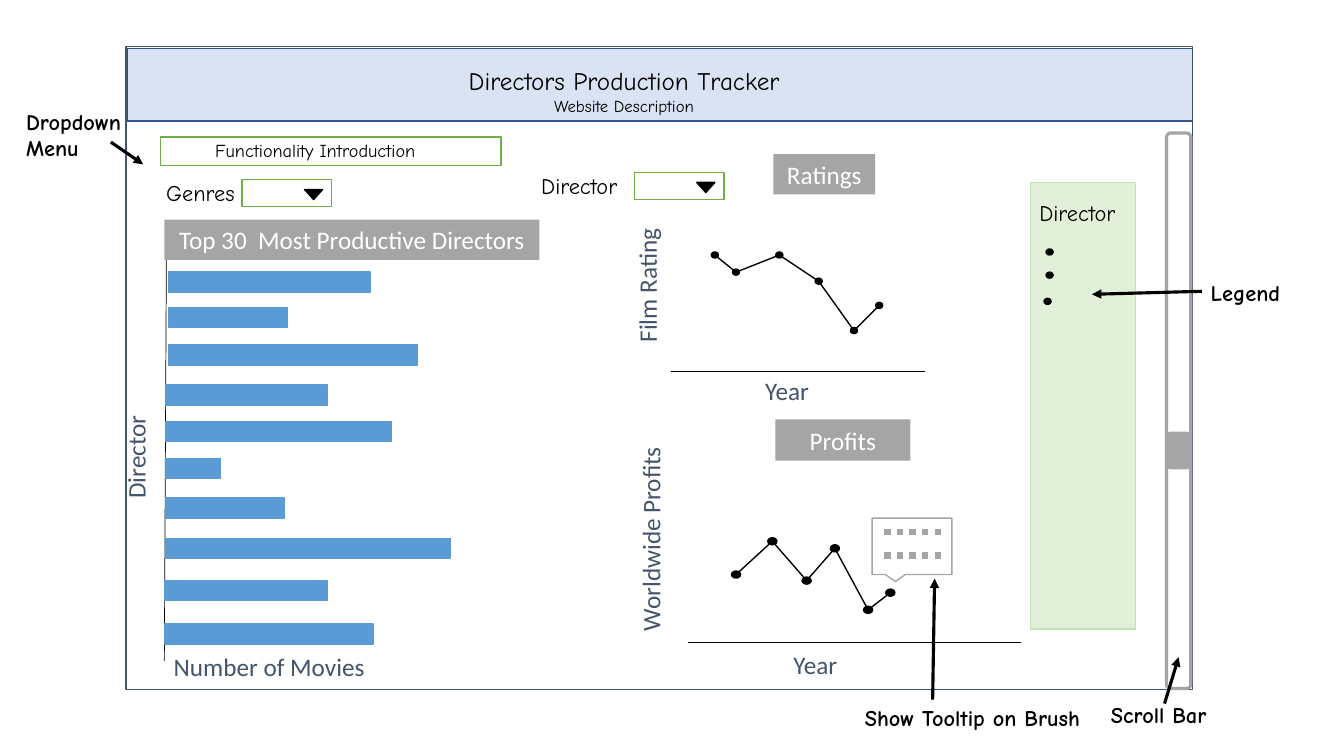
import pptx
import pptx.util
import pptx.dml.color
import pptx.enum.dml
import pptx.enum.shapes
import pptx.enum.text
import pptx.oxml.ns
import lxml.etree

Inches = pptx.util.Inches
SHAPE = pptx.enum.shapes.MSO_SHAPE
ALIGN = pptx.enum.text.PP_ALIGN
ANCHOR = pptx.enum.text.MSO_ANCHOR
qn = pptx.oxml.ns.qn
RGB = pptx.dml.color.RGBColor.from_string

THEME = {
    "black": "000000", "white": "FFFFFF", "grey": "A5A5A5", "slate": "44546A",
    "bar": "5B9BD5", "green": "70AD47", "header": "DAE3F3", "header_line": "325491",
    "legend": "E2F0D9", "legend_line": "C5E0B4",
    "banner": {"name": "Calibri", "size": 18, "color": "FFFFFF"},
    "axis": {"name": "Calibri", "size": 18, "color": "44546A"},
    "note": {"name": "Comic Neue", "size": 16, "color": "000000", "bold": True},
    "label": {"name": "Comic Neue", "size": 16, "color": "000000", "bold": False},
    "intro": {"name": "Comic Neue", "size": 13, "color": "000000"},
    "title": {"name": "Comic Neue", "size": 18, "color": "000000", "bold": False},
    "subtitle": {"name": "Comic Neue", "size": 12, "color": "000000", "bold": False},
}

prs = pptx.Presentation()
prs.slide_width, prs.slide_height = Inches(13.33), Inches(7.5)
slide = prs.slides.add_slide(prs.slide_layouts[5])
shapes = slide.shapes


def write(sp, lines, align=ALIGN.LEFT, anchor=ANCHOR.TOP, rotation=0):
    sp.rotation = rotation
    tf = sp.text_frame
    frame = {"word_wrap": True, "vertical_anchor": anchor,
             "auto_size": pptx.enum.text.MSO_AUTO_SIZE.NONE,
             "margin_left": Inches(0.1), "margin_right": Inches(0.1),
             "margin_top": Inches(0.05), "margin_bottom": Inches(0.05)}
    for key, value in frame.items():
        setattr(tf, key, value)
    for i, (text, style) in enumerate(lines):
        p = tf.paragraphs[0] if i == 0 else tf.add_paragraph()
        for key, value in {"alignment": align, "line_spacing": 1.0, "space_before": 0}.items():
            setattr(p, key, value)
        r = p.add_run()
        r.text = text
        for key, value in THEME[style].items():
            if key == "color":
                r.font.color.rgb = RGB(value)
            else:
                setattr(r.font, key, pptx.util.Pt(value) if key == "size" else value)


def draw(kind, box, fill=None, line=None, width=1, arrow=False, dash=None):
    lengths = [Inches(v) for v in box]
    if kind == "line":
        sp = shapes.add_connector(pptx.enum.shapes.MSO_CONNECTOR.STRAIGHT, *lengths)
        lxml.etree.SubElement(sp._element.spPr, qn("a:effectLst"))
    else:
        sp = shapes.add_shape(kind, *lengths)
        sp.shadow.inherit = False
        if fill:
            sp.fill.solid()
            sp.fill.fore_color.rgb = RGB(THEME[fill])
        else:
            sp.fill.background()
    if line:
        sp.line.color.rgb = RGB(THEME[line])
        sp.line.width = pptx.util.Pt(width)
    else:
        sp.line.fill.background()
    if dash:
        sp.line.dash_style = dash
    if arrow:
        ln = sp._element.spPr.find(qn("a:ln"))
        lxml.etree.SubElement(ln, qn("a:tailEnd"), type="triangle")
    return sp


draw(SHAPE.RECTANGLE, (1.26, 0.48, 10.57, 0.72), "header", "header_line")
title = shapes.title
title.left, title.top, title.width, title.height = [Inches(v) for v in (2.94, 0.6, 6.5, 0.61)]
write(title, [("Directors Production Tracker", "title"), ("Website Description", "subtitle")],
      ALIGN.CENTER)
shapes._spTree.append(title._element)

draw("line", (1.65, 2.58, 1.63, 6.56), line="black", width=0.5)
bars = [(1.67, 2.8, 2), (1.67, 3.15, 1.18), (1.67, 3.52, 2.47), (1.64, 3.92, 1.61),
        (1.64, 4.28, 2.24), (1.64, 4.65, 0.55), (1.64, 5.04, 1.18), (1.64, 5.44, 2.83),
        (1.63, 5.86, 1.62), (1.63, 6.29, 2.07)]
for left, centre, length in bars:
    draw(SHAPE.RECTANGLE, (left, centre - 0.1, length, 0.2), "bar", "bar")

draw(SHAPE.RECTANGLE, (1.25, 0.46, 10.58, 6.38), line="slate")

banners = [("Top 30  Most Productive Directors", (1.63, 2.18, 3.72, 0.4)),
           ("Ratings", (7.67, 1.53, 1.01, 0.4)),
           ("Profits", (7.69, 4.16, 1.34, 0.41))]
for text, box in banners:
    write(draw(SHAPE.RECTANGLE, box, "grey"), [(text, "banner")], ALIGN.CENTER, ANCHOR.MIDDLE)

ratings = [(7.09, 2.53), (7.3, 2.7), (7.73, 2.53), (8.12, 2.79), (8.47, 3.28), (8.72, 3.03)]
profits = [(7.3, 5.7), (7.66, 5.37), (8, 5.76), (8.28, 5.44), (8.61, 6.05), (8.83, 5.88)]
legend_dots = [(10.41, 2.5), (10.41, 2.73), (10.39, 2.99)]

draw(SHAPE.RECTANGLE, (10.22, 1.81, 1.04, 4.43), "legend", "legend_line")
for points, w, h in [(ratings, 0.07, 0.06), (profits, 0.09, 0.07), (legend_dots, 0.07, 0.06)]:
    if points is not legend_dots:
        for start, end in zip(points, points[1:]):
            draw("line", start + end, line="black")
    for x, y in points:
        draw(SHAPE.OVAL, (x - w / 2, y - h / 2, w, h), "black", "black")

for axis in [(6.66, 3.68, 9.17, 3.68), (6.82, 6.37, 10.13, 6.37)]:
    draw("line", axis, line="black", width=0.5)

draw(SHAPE.RECTANGULAR_CALLOUT, (8.65, 5.14, 0.79, 0.56), line="grey")
for y in (5.28, 5.51):
    draw("line", (8.77, y, 9.38, y), line="grey", width=4.5,
         dash=pptx.enum.dml.MSO_LINE.ROUND_DOT)

scroll_track = draw(SHAPE.ROUNDED_RECTANGLE, (11.57, 1.32, 0.24, 5.51), "white", "grey", 2.25)
scroll_track.adjustments[0] = 0.167
draw(SHAPE.ROUNDED_RECTANGLE, (11.57, 4.29, 0.24, 0.36), "grey", "grey")

draw(SHAPE.RECTANGLE, (1.59, 1.36, 3.38, 0.28), "white", "green")
for left, top in [(2.4, 1.78), (6.29, 1.71)]:
    draw(SHAPE.RECTANGLE, (left, top, 0.89, 0.27), "white", "green")
    marker = draw(SHAPE.ISOSCELES_TRIANGLE, (left + 0.62, top + 0.1, 0.18, 0.1), "black", "black")
    marker.rotation = 180

labels = [
    (["Director"], "axis", (0.64, 4.14, 1.41, 0.4), ALIGN.LEFT, 270),
    (["Number of Movies"], "axis", (0.5, 6.41, 4.34, 0.5), ALIGN.CENTER, 0),
    (["Film Rating"], "axis", (5.34, 2.12, 2.25, 0.5), ALIGN.LEFT, 270),
    (["Worldwide Profits"], "axis", (5.46, 5, 2.15, 0.57), ALIGN.LEFT, 270),
    (["Year"], "axis", (7.49, 3.67, 1.56, 0.4), ALIGN.LEFT, 0),
    (["Year"], "axis", (7.77, 6.39, 2.05, 0.41), ALIGN.LEFT, 0),
    (["Functionality Introduction"], "intro", (1.53, 1.33, 3.19, 0.32), ALIGN.CENTER, 0),
    (["Genres"], "label", (1.55, 1.73, 1.54, 0.37), ALIGN.LEFT, 0),
    (["Director"], "label", (5.27, 1.66, 1.54, 0.37), ALIGN.LEFT, 0),
    (["Director"], "label", (10.21, 1.93, 1.19, 0.37), ALIGN.LEFT, 0),
    (["Dropdown", "Menu"], "note", (0.16, 1.02, 1.41, 0.64), ALIGN.LEFT, 0),
    (["Legend"], "note", (11.91, 2.72, 1.4, 0.37), ALIGN.LEFT, 0),
    (["Show Tooltip on Brush"], "note", (8.48, 6.94, 2.44, 0.37), ALIGN.LEFT, 0),
    (["Scroll Bar"], "note", (10.92, 6.91, 1.5, 0.37), ALIGN.LEFT, 0),
]
for lines, style, box, align, rotation in labels:
    sp = shapes.add_textbox(*[Inches(v) for v in box])
    write(sp, [(text, style) for text in lines], align, rotation=rotation)

arrows = [(1.1, 1.41, 1.42, 1.63), (11.55, 6.98, 11.69, 6.52),
          (9.25, 6.94, 9.27, 5.74), (11.92, 2.89, 10.83, 2.92)]
for arrow in arrows:
    draw("line", arrow, line="black", width=2.25, arrow=True)

prs.save("out.pptx")
